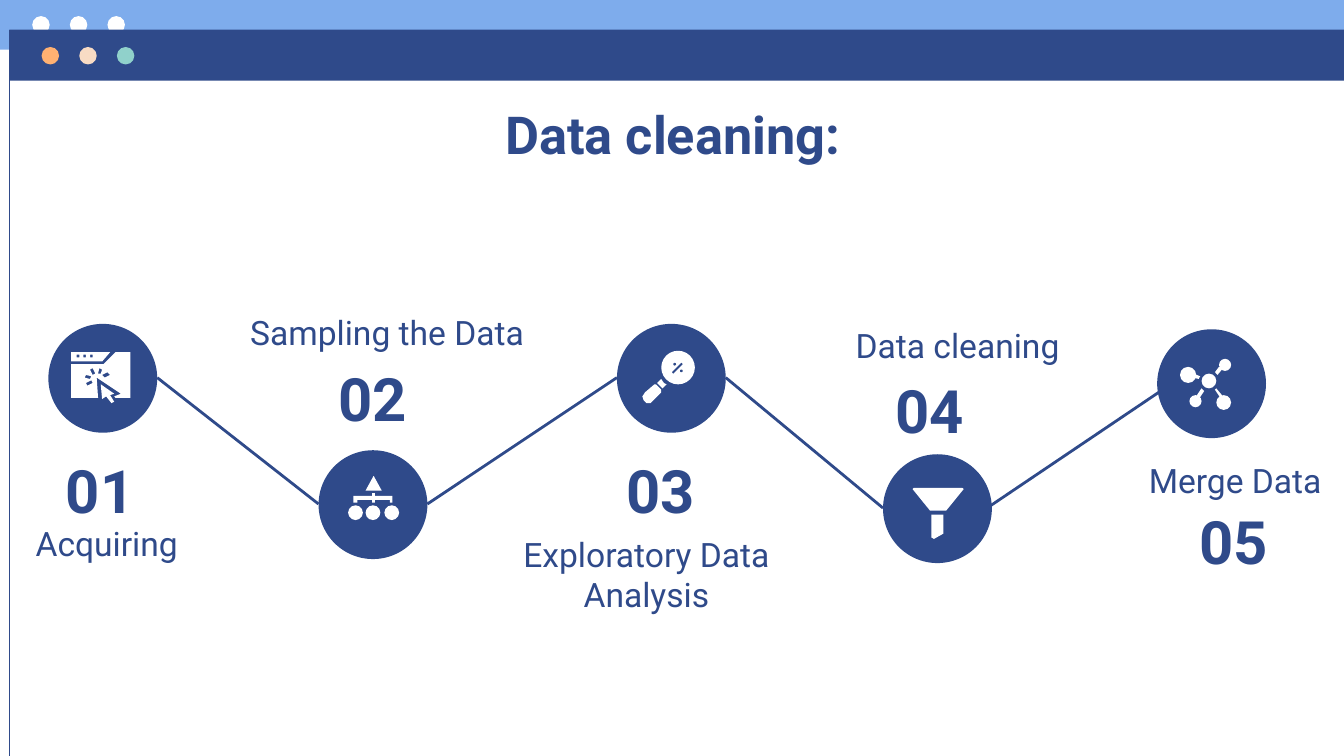
from dataclasses import dataclass
from itertools import pairwise
from lxml import etree
from pptx import Presentation
from pptx.dml.color import RGBColor
from pptx.enum.shapes import MSO_CONNECTOR, MSO_SHAPE
from pptx.enum.text import MSO_ANCHOR, MSO_AUTO_SIZE, PP_ALIGN
from pptx.oxml.ns import qn
from pptx.util import Pt

OVAL, BOX = MSO_SHAPE.OVAL, MSO_SHAPE.RECTANGLE
LINE = MSO_CONNECTOR.STRAIGHT
TOP, MID = MSO_ANCHOR.TOP, MSO_ANCHOR.MIDDLE
CENTER = PP_ALIGN.CENTER
FIXED = MSO_AUTO_SIZE.NONE
PX = 9144
WIDE = 1000 * PX
HIGH = WIDE * 9 // 16
DISC = 81
DOT = 13
INSET = 10

Rect = tuple[int, int, int, int]
Point = tuple[int, int]
Ring = list[Point]
Disk = tuple[int, int, int]


@dataclass(frozen=True)
class Theme:
    font: str = "Roboto"
    navy: str = "2F4A8A"
    sky: str = "7EACEC"
    white: str = "FFFFFF"
    orange: str = "FFB172"
    peach: str = "F8DBC4"
    mint: str = "90D1CB"
    title: int = 28
    number: int = 32
    label: int = 18
    thin: float = 0.75
    thick: float = 1.5


@dataclass(frozen=True)
class Icon:
    forms: list[list[Ring]]
    disks: list[Disk]
    cuts: list[Ring]
    holes: list[Disk]


@dataclass(frozen=True)
class Step:
    number: str
    spot: Rect
    anchor: MSO_ANCHOR
    label: str
    area: Rect
    disc: Point
    icon: Icon


THEME = Theme()

BROWSER = Icon([
    [[(75, 286), (76, 297), (79, 295), (83, 300), (85, 299), (82, 294), (85, 293)]],
    [[(53, 262), (53, 269), (76, 269), (82, 262)],
     *[[(x, 264), (x, 266), (x + 2, 266), (x + 2, 264)] for x in (57, 62, 67)]],
    [[(86, 262), (77, 271), (53, 271), (53, 296), (73, 296), (72, 281),
      (90, 293), (85, 295), (86, 296), (97, 296), (97, 262)],
     [(74, 274), (76, 275), (75, 278), (73, 278)],
     [(69, 274), (71, 278), (69, 279), (67, 275)],
     [(80, 277), (82, 279), (78, 281), (76, 279)],
     [(64, 279), (68, 280), (67, 282), (63, 281)],
     [(68, 283), (69, 285), (65, 287), (64, 285)]],
], [], [], [])

TREE = Icon([
    [[(278, 354), (272, 365), (284, 365)]],
    [[(277, 367), (277, 369), (263, 369), (263, 374), (266, 374), (266, 372),
      (277, 372), (277, 374), (279, 374), (279, 372), (290, 372), (290, 374),
      (292, 374), (292, 369), (279, 369), (279, 367)]],
], [(x, 376, 11) for x in (259, 272, 286)], [], [])

LENS = Icon([
    [[(487, 286), (480, 292), (478, 295), (479, 298), (481, 300), (484, 300),
      (486, 298), (492, 292), (492, 290), (488, 286)]],
    [[(492, 282), (489, 285), (493, 289), (496, 286), (494, 285)]],
], [(492, 261, 25)],
    [[(507, 270), (508, 271), (501, 278), (500, 277)]],
    [(501, 270, 2), (506, 275, 2)])

FUNNEL = Icon([
    [[(693, 383), (693, 400), (695, 401), (702, 397), (702, 383)]],
    [[(680, 363), (679, 364), (692, 380), (704, 380), (717, 364), (716, 363)]],
], [], [], [])

NETWORK = Icon([
    [[(894, 289), (896, 291), (892, 297), (890, 295)]],
    [[(904, 277), (906, 279), (910, 274), (907, 273)]],
    [[(892, 282), (893, 280), (888, 278), (887, 281)]],
    [[(905, 289), (904, 290), (908, 296), (910, 295)]],
], [(894, 278, 11), (885, 294, 9), (907, 267, 9), (878, 273, 12), (905, 294, 11)],
    [], [])

STEPS = [
    Step("01", (2, 343, 145, 43), MID, "Acquiring ", (-27, 379, 219, 41), (36, 241), BROWSER),
    Step("02", (205, 274, 145, 43), MID, "Sampling the Data", (154, 222, 268, 50), (237, 335), TREE),
    Step("03", (419, 343, 145, 43), MID, "Exploratory Data Analysis", (347, 387, 268, 81), (459, 241), LENS),
    Step("04", (619, 283, 145, 43), MID, "Data cleaning", (612, 232, 201, 38), (657, 338), FUNNEL),
    Step("05", (798, 366, 240, 74), TOP, "Merge Data", (755, 332, 328, 50), (861, 245), NETWORK),
]


def paint(shape, color: str) -> None:
    shape.shadow.inherit = False
    shape.fill.solid()
    shape.fill.fore_color.rgb = RGBColor.from_string(color)
    shape.line.fill.background()


def draw(shapes, kind, rect: Rect, color: str) -> None:
    paint(shapes.add_shape(kind, *(v * PX for v in rect)), color)


def trace(shapes, rings: list[Ring], color: str) -> None:
    first, *rest = rings
    pen = shapes.build_freeform(*first[0], scale=PX)
    pen.add_line_segments(first[1:], close=True)
    for ring in rest:
        pen.move_to(*ring[0])
        pen.add_line_segments(ring[1:], close=True)
    paint(pen.convert_to_shape(), color)


def link(shapes, start: Point, end: Point, width: float) -> None:
    line = shapes.add_connector(LINE, *(v * PX for v in (*start, *end)))
    line.line.color.rgb = RGBColor.from_string(THEME.navy)
    line.line.width = Pt(width)
    etree.SubElement(line._element.spPr, qn("a:effectLst"))


def write(shape, words: str, *, size: int, bold: bool = False, anchor=TOP) -> None:
    frame = shape.text_frame
    frame.word_wrap = True
    frame.auto_size = FIXED
    frame.vertical_anchor = anchor
    frame.margin_left = frame.margin_right = INSET * PX
    frame.margin_top = frame.margin_bottom = INSET * PX
    para = frame.paragraphs[0]
    para.alignment = CENTER
    run = para.add_run()
    run.text = words
    run.font.name = THEME.font
    run.font.size = Pt(size)
    run.font.bold = bold
    run.font.color.rgb = RGBColor.from_string(THEME.navy)


def draw_bar(shapes, rect: Rect, color: str, first: Point, dots: list[str]) -> None:
    draw(shapes, BOX, rect, color)
    left, top = first
    for i, dot in enumerate(dots):
        draw(shapes, OVAL, (left + 28 * i, top, DOT, DOT), dot)


def draw_icon(shapes, icon: Icon) -> None:
    group = shapes.add_group_shape().shapes
    for rings in icon.forms:
        trace(group, rings, THEME.white)
    for x, y, size in icon.disks:
        draw(group, OVAL, (x, y, size, size), THEME.white)
    for ring in icon.cuts:
        trace(group, [ring], THEME.navy)
    for x, y, size in icon.holes:
        draw(group, OVAL, (x, y, size, size), THEME.navy)


def draw_step(shapes, step: Step) -> None:
    draw(shapes, OVAL, (*step.disc, DISC, DISC), THEME.navy)
    draw_icon(shapes, step.icon)
    number = shapes.add_textbox(*(v * PX for v in step.spot))
    write(number, step.number, size=THEME.number, bold=True, anchor=step.anchor)
    label = shapes.add_textbox(*(v * PX for v in step.area))
    write(label, step.label, size=THEME.label)


def main() -> None:
    deck = Presentation()
    deck.slide_width, deck.slide_height = WIDE, HIGH
    shapes = deck.slides.add_slide(deck.slide_layouts[5]).shapes
    draw_bar(shapes, (0, 0, 1000, 37), THEME.sky, (24, 12), [THEME.white] * 3)
    draw_bar(shapes, (7, 22, 993, 38), THEME.navy, (31, 35),
             [THEME.orange, THEME.peach, THEME.mint])
    link(shapes, (7, 22), (7, 563), THEME.thin)
    title = shapes.title
    title.left, title.top, title.width, title.height = (v * PX for v in (27, 66, 947, 51))
    write(title, "Data cleaning:", size=THEME.title, bold=True)
    half = DISC // 2
    for (x, y), (to_x, to_y) in pairwise(step.disc for step in STEPS[:-1]):
        link(shapes, (x + DISC, y + half), (to_x, to_y + half), THEME.thick)
    link(shapes, (733, 379), (865, 290), THEME.thick)
    for step in STEPS:
        draw_step(shapes, step)
    deck.save("out.pptx")


if __name__ == "__main__":
    main()
